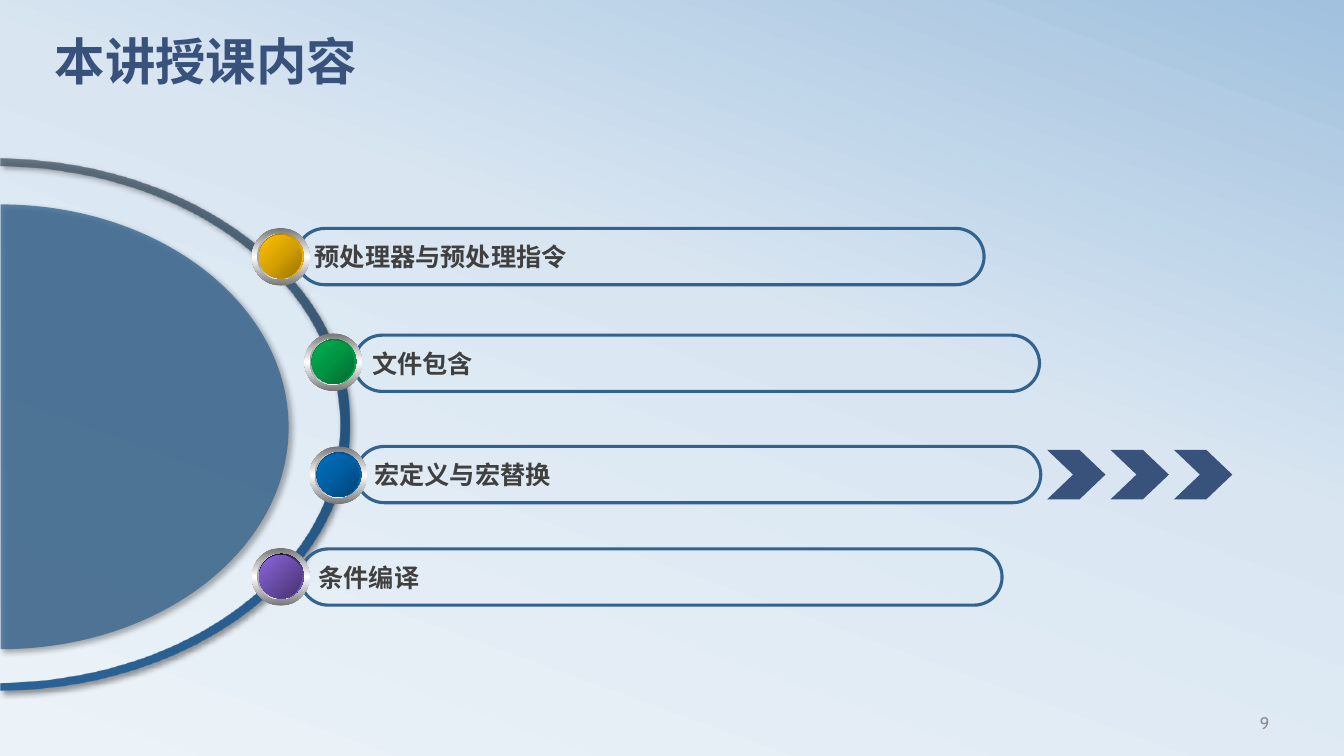
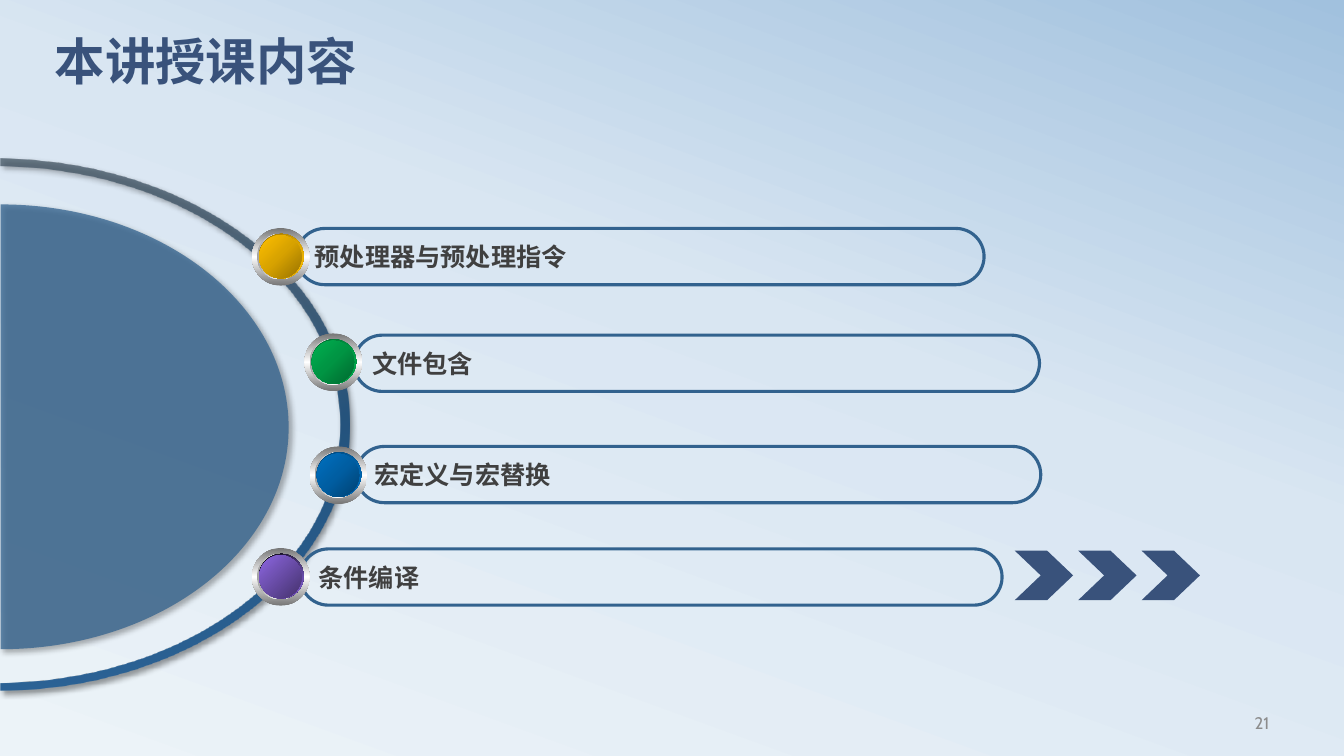
"""Build the two agenda slides, each marking its current topic with chevrons."""
import lxml.etree
import pptx
import pptx.dml.color
import pptx.enum.shapes
import pptx.enum.text
import pptx.oxml.ns
import pptx.util

qn = pptx.oxml.ns.qn
SHAPE = pptx.enum.shapes.MSO_SHAPE
ALIGN = pptx.enum.text.PP_ALIGN
ANCHOR = pptx.enum.text.MSO_ANCHOR

NAVY, BLUE, GREY, CHARCOAL = "39527B", "32628E", "8C8C8C", "404040"
CHINESE_FONT = "Noto Sans CJK SC"
TITLE_FORMAT = {"name": "Cabin", "size": pptx.util.Pt(36), "bold": True}
TOPIC_FORMAT = {"name": CHINESE_FONT, "size": pptx.util.Pt(18), "bold": True}
NUMBER_FORMAT = {"name": "Cabin", "size": pptx.util.Pt(12), "bold": False}

BACKGROUND = [(0, "ECF3F8"), (58, "D9E6F2"), (100, "A1C1DE")]
RING = [(0, "445462", 75), (50, "24537D"), (100, "2B6295")]
OUTER_METAL = [(0, "767676"), (50, "FFFFFF"), (100, "767676")]
INNER_METAL = [(0, "A2A2A2"), (50, "FFFFFF"), (100, "A2A2A2")]
GOLD = [(0, "977200"), (50, "D7A200"), (100, "FFC000")]
GREEN = [(0, "00682F"), (50, "009443"), (100, "00B050")]
AZURE = [(0, "004272"), (50, "005EA2"), (100, "0070C0")]
PURPLE_RIM = [(0, "000000"), (100, "8D67E1")]
PURPLE_FACE = [(0, "8D67E1"), (100, "45326D")]

TOPICS = [
    ("条件编译", (7.15, 13.07, 16.71), (6, 13.05), PURPLE_RIM, PURPLE_FACE, 45),
    ("文件包含", (8.43, 7.98, 16.32), (7.25, 7.94), GREEN, GREEN, "circle"),
    ("预处理器与预处理指令", (7.06, 5.44, 16.37), (6, 5.43), GOLD, GOLD, "circle"),
    ("宏定义与宏替换", (8.48, 10.63, 16.3), (7.37, 10.63), AZURE, AZURE, "circle"),
]
PAGES = [("9", 24.93, 10.71), ("21", 24.16, 13.11)]

RING_STROKES = [
    [(0, 3.98)],
    [(4.46, 4.03), (8.06, 6.77), (8.06, 10.13)],
    [(8.06, 13.49), (4.46, 16.22), (0, 16.27)],
    [(0, 16.46)],
    [(4.61, 16.42), (8.3, 13.58), (8.3, 10.13)],
    [(8.3, 6.67), (4.61, 3.86), (0, 3.79)],
]
DISC_STROKES = [
    [(0, 4.87)],
    [(3.79, 4.87), (6.86, 7.25), (6.86, 10.18)],
    [(6.86, 13.1), (3.79, 15.46), (0, 15.46)],
]
ARCS = [(RING_STROKES, -6.46, 1.68, 16.87), (DISC_STROKES, -5.3, 3.29, 13.75)]

presentation = pptx.Presentation()
presentation.slide_width = pptx.util.Inches(13.33)
presentation.slide_height = pptx.util.Inches(7.5)
column = presentation.slide_width / 32
row = presentation.slide_height / 18


def color(value):
    """Turn a hex string into a colour."""
    return pptx.dml.color.RGBColor.from_string(value)


def paint_gradient(fill, element, stops, direction):
    """Fill with stops along an angle, or around the lower right corner."""
    fill.gradient()
    gradient = next(element.iter(qn("a:gradFill")))
    for child in list(gradient):
        gradient.remove(child)
    stop_list = lxml.etree.SubElement(gradient, qn("a:gsLst"))
    for position, value, *opacity in stops:
        stop = lxml.etree.SubElement(stop_list, qn("a:gs"), pos=str(position * 1000))
        tint = lxml.etree.SubElement(stop, qn("a:srgbClr"), val=str(color(value)))
        for share in opacity:
            lxml.etree.SubElement(tint, qn("a:alpha"), val=str(share * 1000))
    if direction == "circle":
        focus = lxml.etree.SubElement(gradient, qn("a:path"), path="circle")
        lxml.etree.SubElement(focus, qn("a:fillToRect"), l="100000", t="100000")
    else:
        lxml.etree.SubElement(gradient, qn("a:lin"), ang=str(direction * 60000), scaled="0")


master = presentation.slide_master
paint_gradient(master.background.fill, master.element, BACKGROUND, 290)
layout = presentation.slide_layouts[5]
title_frame = {"left": 1.06 * column, "top": 0.88 * row,
               "width": 28.8 * column, "height": 2.26 * row}
for name, value in title_frame.items():
    setattr(layout.placeholders[0], name, int(value))

for number, chevron_left, chevron_top in PAGES:
    slide = presentation.slides.add_slide(layout)
    texts = [(slide.shapes.title, "本讲授课内容", NAVY, TITLE_FORMAT, ALIGN.LEFT, ANCHOR.TOP)]
    unlined = []

    number_box = slide.shapes.add_textbox(
        *map(int, (23 * column, 16.73 * row, 7.46 * column, 0.96 * row)))
    texts.append((number_box, number, GREY, NUMBER_FORMAT, ALIGN.RIGHT, ANCHOR.MIDDLE))

    for strokes, left, top, height in ARCS:
        right_edge = max(across for stroke in strokes for across, down in stroke)
        corners = [(int(down * row), int((right_edge - across) * column))
                   for stroke in strokes for across, down in stroke]
        builder = slide.shapes.build_freeform(*corners[0])
        builder.add_line_segments(corners[1:], close=True)
        arc = builder.convert_to_shape()
        outline = next(arc.element.iter(qn("a:path")))
        lines = iter(outline.findall(qn("a:lnTo")))
        for stroke in strokes[1:]:
            pieces = [next(lines) for point in stroke]
            if len(pieces) == 3:
                curve = lxml.etree.SubElement(outline, qn("a:cubicBezTo"))
                pieces[0].addprevious(curve)
                for piece in pieces:
                    curve.append(piece[0])
                    outline.remove(piece)
        arc.left, arc.top, arc.height = (
            int(left * column), int(top * row), int(height * column))
        outline.set("h", str(arc.height))
        arc.rotation = 90
        unlined.append(arc)
    ring, disc = unlined
    paint_gradient(ring.fill, ring.element, RING, 0)
    disc.fill.solid()
    disc.fill.fore_color.rgb = color(BLUE)
    tint = next(disc.element.spPr.iter(qn("a:srgbClr")))
    lxml.etree.SubElement(tint, qn("a:alpha"), val="75000")

    chevrons = slide.shapes.add_group_shape()
    for index in range(3):
        chevron = chevrons.shapes.add_shape(SHAPE.CHEVRON, *map(int, (
            (chevron_left + index * 1.51) * column, chevron_top * row,
            1.39 * column, 1.18 * row)))
        chevron.adjustments[0] = 0.525
        chevron.fill.solid()
        chevron.fill.fore_color.rgb = color(NAVY)
        unlined.append(chevron)

    for topic, bar_place, ball_place, rim, face, face_direction in TOPICS:
        group = slide.shapes.add_group_shape()
        bar_left, bar_top, bar_width = bar_place
        bar = group.shapes.add_shape(SHAPE.ROUNDED_RECTANGLE, *map(int, (
            bar_left * column, bar_top * row, bar_width * column, 1.34 * row)))
        bar.adjustments[0] = 0.5
        bar.shadow.inherit = False
        bar.fill.background()
        bar.line.color.rgb = color(BLUE)
        bar.line.width = pptx.util.Pt(2.25)
        texts.append((bar, topic, CHARCOAL, TOPIC_FORMAT, ALIGN.LEFT, ANCHOR.MIDDLE))

        ball_left, ball_top = ball_place
        for right, down, width, height, stops, direction in [
            (0, 0, 1.37, 1.37, OUTER_METAL, 90),
            (0.12, 0.14, 1.1, 1.08, INNER_METAL, 0),
            (0.17, 0.14, 1.06, 1.06, rim, 45),
            (0.17, 0.17, 1.01, 1.03, face, face_direction),
        ]:
            layer = group.shapes.add_shape(SHAPE.OVAL, *map(int, (
                (ball_left + right) * column, (ball_top + down) * row,
                width * column, height * row)))
            paint_gradient(layer.fill, layer.element, stops, direction)
            unlined.append(layer)

    for shape in unlined:
        shape.shadow.inherit = False
        shape.line.fill.background()
    for shape in (ring, disc):
        effects = shape.element.spPr.find(qn("a:effectLst"))
        shadow = lxml.etree.SubElement(
            effects, qn("a:outerShdw"), blurRad=str(pptx.util.Pt(4)),
            dist=str(pptx.util.Pt(3)), dir="2700000", algn="tl", rotWithShape="0")
        tint = lxml.etree.SubElement(shadow, qn("a:srgbClr"), val=str(color("000000")))
        lxml.etree.SubElement(tint, qn("a:alpha"), val="40000")

    for shape, text, text_color, text_format, alignment, anchor in texts:
        frame = shape.text_frame
        frame.word_wrap = True
        frame.auto_size = pptx.enum.text.MSO_AUTO_SIZE.NONE
        frame.vertical_anchor = anchor
        paragraph = frame.paragraphs[0]
        paragraph.alignment = alignment
        run = paragraph.add_run()
        run.text = text
        for name, value in text_format.items():
            setattr(run.font, name, value)
        run.font.color.rgb = color(text_color)
        lxml.etree.SubElement(run._r.get_or_add_rPr(), qn("a:ea"), typeface=CHINESE_FONT)
    slide.shapes.title.text_frame.paragraphs[0].line_spacing = 0.8

presentation.save("out.pptx")
